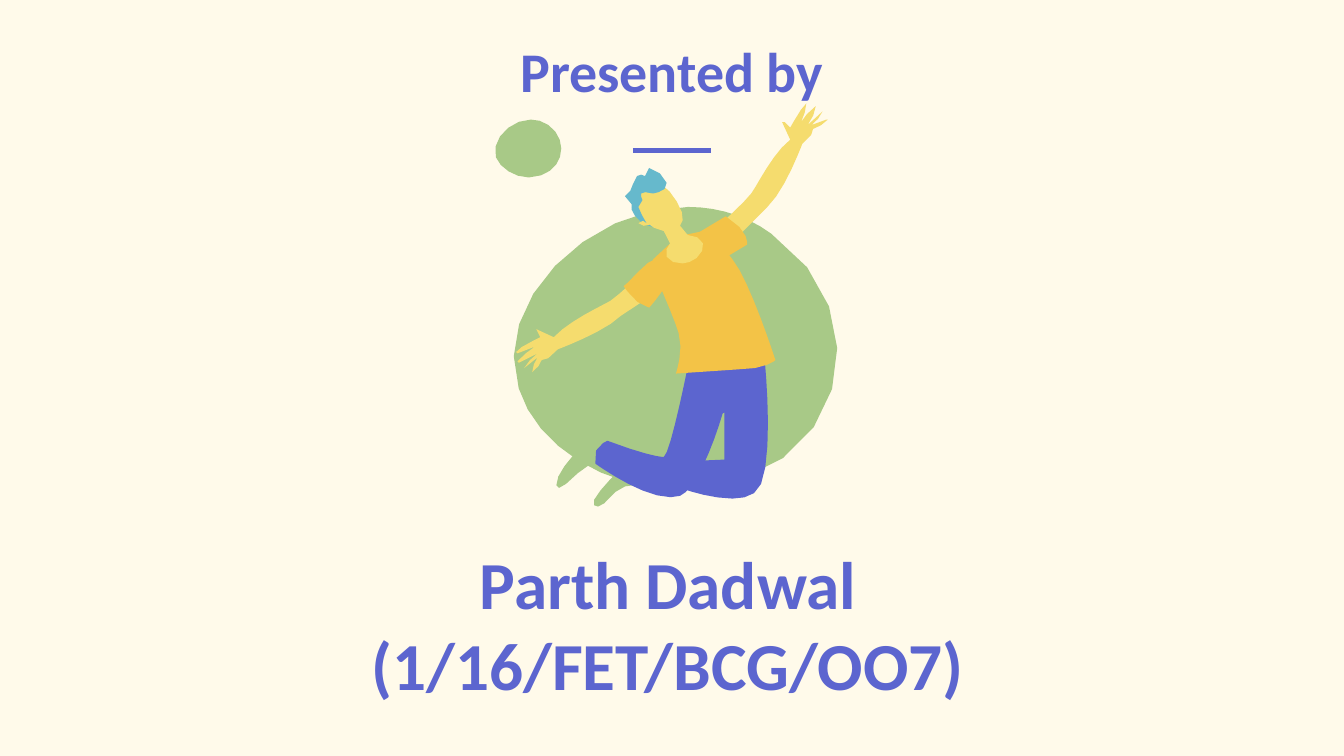
from math import ceil, dist

from lxml.etree import SubElement
from pptx import Presentation
from pptx.dml.color import RGBColor
from pptx.enum.shapes import MSO_CONNECTOR as Connector
from pptx.enum.text import MSO_ANCHOR as Anchor, MSO_AUTO_SIZE as AutoSize, PP_ALIGN as Align
from pptx.oxml.ns import qn
from pptx.util import Pt

CREAM, INDIGO, GREEN, BLUE = "FFFAEA", "5C65CF", "A8C987", "66B9CC"
TAN, SKIN, SHIRT = "E0A584", "F5DC6E", "F3C347"
UNIT = 0.72
CHORD, MAX_CHORDS = 10, 8

BACKDROP = [
    (GREEN, "512 154|437 154 365 226 386 289|399 332 451 364 505 364|509 364"
            "|631 360 659 233 574 174|555 160 533 154 512 154"),
    (GREEN, "395 89|380 89 365 104 369 117|372 125 383 132 393 132|394 132"
            "|419 131 425 105 408 93|404 90 399 89 395 89"),
]

HAIR_BACK = "471 151|471 151 468 153 470 156|471 159 477 169 486 169|487 169|475 151"
LEFT_SHOE = ("444 324|443 324|438 326 413 350 414 361|414 362 415 363 416 363"
             "|418 363 423 359 430 352|435 346 441 345 446 345|452 346|457 332"
             "|457 332 448 324 444 324")
RIGHT_SHOE = ("471 340|471 340 436 372 442 376|445 377|447 377 451 374 458 366"
              "|462 362 468 361 472 361|480 362|484 348")
WAIST = "567 245|513 266|569 280"
RIGHT_LEG = ("513 267|537 308|539 307|539 342|516 343|506 363|506 363 527 371 545 371"
             "|551 371 557 370 561 367|578 358 569 268 569 268|557 269|513 267")
LEFT_LEG = ("513 267|513 267 499 338 494 340|493 340|493 340 484 340 452 328"
            "|452 328 439 333 443 345|443 345 477 370 499 370|501 370 504 370 506 369"
            "|517 365 530 334 538 307|569 268|550 268|513 267")
RAISED_ARM = ("600 77|598 77 588 95 588 95|587 92 585 91 584 91|582 91|588 104"
              "|575 114 564 137 559 144|554 151 525 177 525 177|532 193|571 154"
              "|584 142 597 107 597 107|604 104 605 96 605 96|605 96 617 91 616 89"
              "|615 89|604 93|604 93 614 84 612 83|601 93|601 93 610 79 607 79"
              "|604 79 596 91 596 91|596 91 602 77 600 77")
LOWERED_ARM = ("490 191|490 191 462 219 454 224|447 228 423 239 412 251|399 245"
               "|399 245 397 249 402 251|402 251 383 260 384 262|385 263|398 258"
               "|398 258 385 267 385 269|386 270|400 263|400 263 388 273 390 274|400 266"
               "|400 266 394 276 396 277|399 277 403 268 403 268|403 268 412 267 415 260"
               "|415 260 450 247 462 235|506 206")
TORSO = ("528 171|509 175|500 180|486 193|489 208|489 208 503 240 505 248|509 260 503 278 503 278"
         "|548 275|570 275 577 268 577 268|577 268 558 209 545 193|528 171")
RIGHT_SLEEVE = "540 161|520 173|541 191|556 182|556 182 558 172 540 161"
LEFT_SLEEVE = ("493 192|489 192|481 193 466 213 464 213|464 213 475 229 483 229"
               "|483 229 516 192 493 192")
HEAD = ("489 136|487 136 485 137 479 141|468 147 474 158 479 164|484 169 489 171 494 172"
        "|501 186|517 179|517 179 506 171 506 168|508 164|510 158 499 141 493 138"
        "|491 137 490 136 489 136")
NECK = ("512 175|510 175 508 176 505 176|498 179 494 186 496 191|498 195 503 196 508 196"
        "|513 195|518 194 525 186 523 181|521 177 517 175 512 175")
EAR = "479 164|475 166|474 167 476 168 479 168|484 167"
HAIR = ("483 125|481 126 480 129 480 131|477 130|474 131|471 137|469 142|467 143 465 144 465 146"
        "|466 149 469 149 470 152|470 155|474 159|476 162 477 164 481 166"
        "|480 162 475 158 475 154|478 154 479 151 478 149|477 146|477 144|480 143|486 144|490 143"
        "|493 142 497 140 496 136|496 133 493 131 491 129|489 128 485 125 483 125")
CHIN = "502 170|494 172|495 174|502 170"

PLAYER = [
    (BLUE, HAIR_BACK), (GREEN, LEFT_SHOE), (GREEN, RIGHT_SHOE), (TAN, WAIST),
    (INDIGO, RIGHT_LEG), (INDIGO, LEFT_LEG), (SKIN, RAISED_ARM), (SKIN, LOWERED_ARM),
    (SHIRT, TORSO), (SHIRT, RIGHT_SLEEVE), (SHIRT, LEFT_SLEEVE), (SKIN, HEAD),
    (SKIN, NECK), (SKIN, EAR), (BLUE, HAIR), (SKIN, CHIN),
]


def paint(color_format, color):
    color_format.rgb = RGBColor.from_string(color)


def bezier(start, controls):
    knots = [start, *zip(controls[::2], controls[1::2])]
    reach = sum(dist(a, b) for a, b in zip(knots, knots[1:]))
    chords = min(MAX_CHORDS, ceil(reach / CHORD))
    for step in range(1, chords + 1):
        t = step / chords
        weights = ((1 - t) ** 3, 3 * t * (1 - t) ** 2, 3 * t * t * (1 - t), t ** 3)
        yield tuple(sum(w * knot[axis] for w, knot in zip(weights, knots)) for axis in (0, 1))


def trace(outline):
    points = []
    for segment in outline.split("|"):
        numbers = [int(number) for number in segment.split()]
        if len(numbers) == 2:
            points.append(tuple(numbers))
        else:
            points.extend(bezier(points[-1], numbers))
    return [(Pt(x * UNIT), Pt(y * UNIT)) for x, y in points]


def draw_figure(slide, parts):
    figure = slide.shapes.add_group_shape()
    for color, outline in parts:
        start, *rest = trace(outline)
        builder = figure.shapes.build_freeform(*start)
        builder.add_line_segments(rest, close=True)
        part = builder.convert_to_shape()
        part.shadow.inherit = False
        part.fill.solid()
        paint(part.fill.fore_color, color)
        part.line.fill.background()


def draw_rule(slide, left, right, y, color, width):
    rule = slide.shapes.add_connector(Connector.STRAIGHT, Pt(left), Pt(y), Pt(right), Pt(y))
    paint(rule.line.color, color)
    rule.line.width = Pt(width)
    SubElement(rule._element.spPr, qn("a:effectLst"))


def write(frame, text, *, size, color=INDIGO, font="Calibri", bold=True, align=Align.CENTER):
    frame.word_wrap = True
    frame.auto_size = AutoSize.NONE
    frame.vertical_anchor = Anchor.BOTTOM
    frame.margin_left = frame.margin_right = frame.margin_top = frame.margin_bottom = Pt(7.2)
    frame.text = text
    for paragraph in frame.paragraphs:
        paragraph.alignment = align
        for run in paragraph.runs:
            run.font.name, run.font.size, run.font.bold = font, Pt(size), bold
            paint(run.font.color, color)


def main():
    deck = Presentation()
    deck.slide_width, deck.slide_height = Pt(720), Pt(405)
    slide = deck.slides.add_slide(deck.slide_layouts[5])
    slide.background.fill.solid()
    paint(slide.background.fill.fore_color, CREAM)

    heading = slide.shapes.title
    heading.left, heading.top, heading.width, heading.height = Pt(62.6), Pt(2.9), Pt(594.7), Pt(59.8)
    write(heading.text_frame, "Presented by", size=30)
    draw_rule(slide, 339.1, 380.9, 80.6, INDIGO, 3)
    draw_figure(slide, BACKDROP)
    draw_figure(slide, PLAYER)
    presenter = slide.shapes.add_textbox(Pt(190.8), Pt(271.4), Pt(334.1), Pt(113))
    write(presenter.text_frame, "Parth Dadwal\n(1/16/FET/BCG/OO7)", size=36)
    deck.save("out.pptx")


if __name__ == "__main__":
    main()
